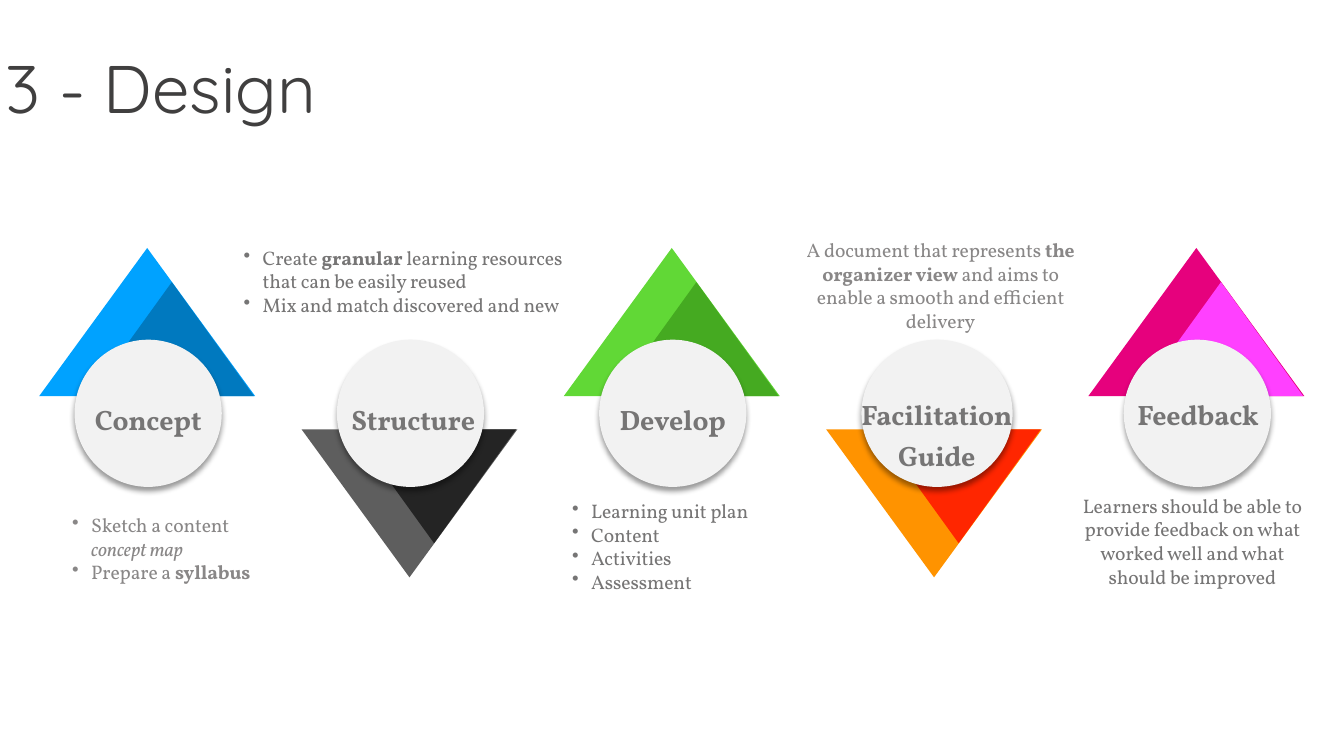
from dataclasses import dataclass

from lxml import etree
from pptx import Presentation
from pptx.dml.color import RGBColor
from pptx.enum.shapes import MSO_SHAPE
from pptx.enum.text import MSO_ANCHOR, MSO_AUTO_SIZE, PP_ALIGN
from pptx.oxml.ns import qn
from pptx.util import Cm, Pt

TRIANGLE, OVAL = MSO_SHAPE.ISOSCELES_TRIANGLE, MSO_SHAPE.OVAL
LEFT, CENTER, JUSTIFY = PP_ALIGN.LEFT, PP_ALIGN.CENTER, PP_ALIGN.JUSTIFY
TOP = MSO_ANCHOR.TOP
NO_FIT, GROW = MSO_AUTO_SIZE.NONE, MSO_AUTO_SIZE.SHAPE_TO_FIT_TEXT

BLUE, DARK_BLUE = RGBColor(0x00, 0xA2, 0xFF), RGBColor(0x00, 0x79, 0xBF)
GRAY, BLACK = RGBColor(0x5E, 0x5E, 0x5E), RGBColor(0x24, 0x24, 0x24)
GREEN, DARK_GREEN = RGBColor(0x61, 0xD8, 0x36), RGBColor(0x45, 0xAA, 0x21)
ORANGE, RED = RGBColor(0xFF, 0x93, 0x00), RGBColor(0xFF, 0x26, 0x00)
MAGENTA, PINK = RGBColor(0xE6, 0x01, 0x7D), RGBColor(0xFF, 0x40, 0xFF)
DISC = RGBColor(0xF2, 0xF2, 0xF2)
TITLE_INK = RGBColor(0x40, 0x3F, 0x3F)
INK, LIGHT_INK = RGBColor(0x76, 0x75, 0x75), RGBColor(0x89, 0x87, 0x87)

# Centimetres
FIRST_LEFT, STEP = 0.99, 6.61
OUTER_W, OUTER_H = 5.44, 3.73
INNER_DX, INNER_W, INNER_H = 1.27, 4.14, 2.87
UP_BASE, DOWN_BASE = 9.98, 10.82
DISC_DX, DISC_TOP, DISC_SIZE = 0.89, 8.56, 3.71
LABEL_H = 1.12
BULLET_INDENT = 0.48

Box = tuple[float, float, float, float]
Run = tuple[str, dict]
BOLD, ITALIC = {"bold": True}, {"italic": True}
TITLE_FONT = {"name": "Quicksand", "size": Pt(48)}
LABEL_FONT = {"name": "Vollkorn", "size": Pt(20), "bold": True}
NOTE_FONT = {"name": "Vollkorn", "size": Pt(14)}


@dataclass
class Stage:
    label: str
    outer: RGBColor
    inner: RGBColor
    label_dx: float
    label_top: float
    label_w: float
    note_box: Box
    note: list[list[Run]]
    align: PP_ALIGN
    ink: RGBColor = INK
    bullets: bool = True
    disc_w: float = DISC_SIZE


STAGES = [
    Stage("Concept", BLUE, DARK_BLUE, 1.02, 9.86, 3.45, (1.57, 12.8, 5.82, 2.06),
          [[("Sketch a content ", {}), ("concept map", ITALIC)],
           [("Prepare a ", {}), ("syllabus", BOLD)]], LEFT, LIGHT_INK),
    Stage("Structure", GRAY, BLACK, 0.91, 9.86, 3.81, (5.89, 6.07, 9.17, 2.06),
          [[("Create ", {}), ("granular", BOLD),
            (" learning resources that can be easily reused", {})],
           [("Mix and match discovered and new", {})]], LEFT),
    Stage("Develop", GREEN, DARK_GREEN, 1.02, 9.86, 3.45, (14.17, 12.45, 5.77, 2.64),
          [[(item, {})] for item in
           ("Learning unit plan", "Content", "Activities", "Assessment")], JUSTIFY),
    Stage("Facilitation Guide", ORANGE, RED, 0.48, 9.73, 4.62, (20.02, 5.87, 7.37, 2.64),
          [[("A document that represents ", {}), ("the organizer view ", BOLD),
            ("and aims to enable a smooth and efficient delivery", {})]],
          CENTER, LIGHT_INK, bullets=False, disc_w=3.81),
    Stage("Feedback", MAGENTA, PINK, 0.91, 9.73, 3.71, (26.75, 12.32, 6.6, 2.64),
          [[("Learners should be able to provide feedback on what worked well "
             "and what should be improved", {})]], CENTER, bullets=False),
]


def add_filled(s, kind: MSO_SHAPE, box: Box, color: RGBColor, flip: bool = False):
    sp = s.shapes.add_shape(kind, *map(Cm, box))
    sp.shadow.inherit = False
    sp.fill.solid()
    sp.fill.fore_color.rgb = color
    sp.line.fill.background()
    if flip:
        sp._element.spPr.find(qn("a:xfrm")).set("flipV", "1")
    return sp


def add_drop_shadow(sp) -> None:
    effects = sp._element.spPr.find(qn("a:effectLst"))
    shadow = etree.SubElement(effects, qn("a:outerShdw"), blurRad=str(Pt(4)),
                              dist=str(Pt(3)), dir="5400000", rotWithShape="0")
    color = etree.SubElement(shadow, qn("a:srgbClr"), val="000000")
    etree.SubElement(color, qn("a:alpha"), val="40000")


def add_text(s, box: Box, paragraphs: list[list[Run]], font: dict, ink: RGBColor,
             align: PP_ALIGN = LEFT, spacing: float | None = None,
             bullets: bool = False, tracking: int = 0, frame: dict | None = None) -> None:
    """Add a wrapped text box; tracking is in hundredths of a point."""
    tf = s.shapes.add_textbox(*map(Cm, box)).text_frame
    settings = {"word_wrap": True, "auto_size": GROW, "vertical_anchor": TOP}
    for name, value in (settings | (frame or {})).items():
        setattr(tf, name, value)
    for i, runs in enumerate(paragraphs):
        p = tf.add_paragraph() if i else tf.paragraphs[0]
        p.alignment = align
        if spacing:
            p.line_spacing = spacing
        if bullets:
            pPr = p._p.get_or_add_pPr()
            pPr.set("marL", str(Cm(BULLET_INDENT)))
            pPr.set("indent", str(-Cm(BULLET_INDENT)))
            etree.SubElement(pPr, qn("a:buChar"), char="•")
        for text, style in runs:
            r = p.add_run()
            r.text = text
            for name, value in (font | style).items():
                setattr(r.font, name, value)
            r.font.color.rgb = ink
            if tracking:
                r._r.get_or_add_rPr().set("spc", str(tracking))


def add_stage(s, stage: Stage, index: int) -> None:
    left = FIRST_LEFT + index * STEP
    down = index % 2 == 1
    for dx, w, h, color in ((0, OUTER_W, OUTER_H, stage.outer),
                            (INNER_DX, INNER_W, INNER_H, stage.inner)):
        top = DOWN_BASE if down else UP_BASE - h
        add_filled(s, TRIANGLE, (left + dx, top, w, h), color, down)
    disc_box = (left + DISC_DX, DISC_TOP, stage.disc_w, DISC_SIZE)
    add_drop_shadow(add_filled(s, OVAL, disc_box, DISC))
    label_box = (left + stage.label_dx, stage.label_top, stage.label_w, LABEL_H)
    add_text(s, label_box, [[(stage.label, {})]], LABEL_FONT, INK, CENTER,
             spacing=1.2, tracking=-10)


def main() -> None:
    prs = Presentation()
    prs.slide_width, prs.slide_height = Cm(33.87), Cm(19.05)
    s = prs.slides.add_slide(prs.slide_layouts[6])
    for i, stage in enumerate(STAGES):
        add_stage(s, stage, i)
    for stage in STAGES:
        add_text(s, stage.note_box, stage.note, NOTE_FONT, stage.ink, stage.align,
                 bullets=stage.bullets, tracking=-10)
    margins = {f"margin_{side}": Cm(0.15) for side in ("left", "right", "top", "bottom")}
    add_text(s, (0, 1.02, 29.21, 3.68), [[("3 - Design", {})]], TITLE_FONT, TITLE_INK,
             frame=margins | {"auto_size": NO_FIT})
    prs.save("out.pptx")


if __name__ == "__main__":
    main()
